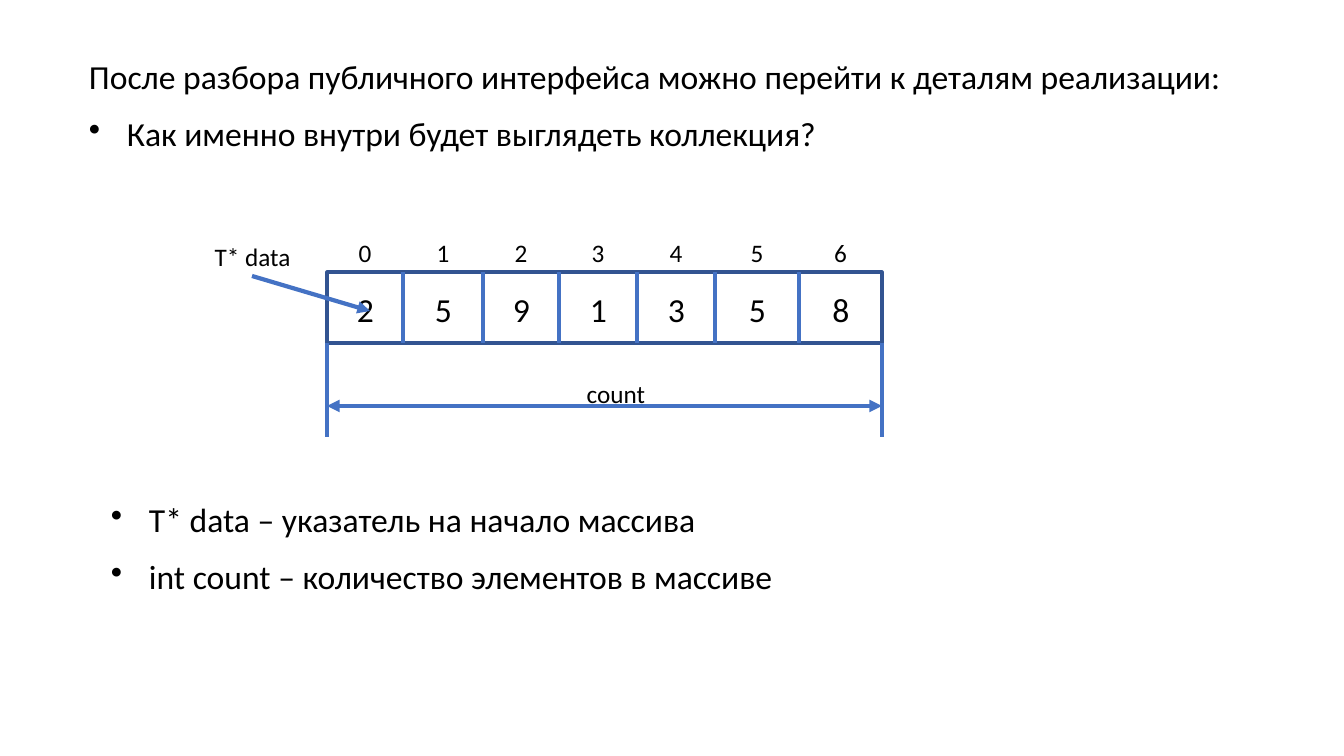
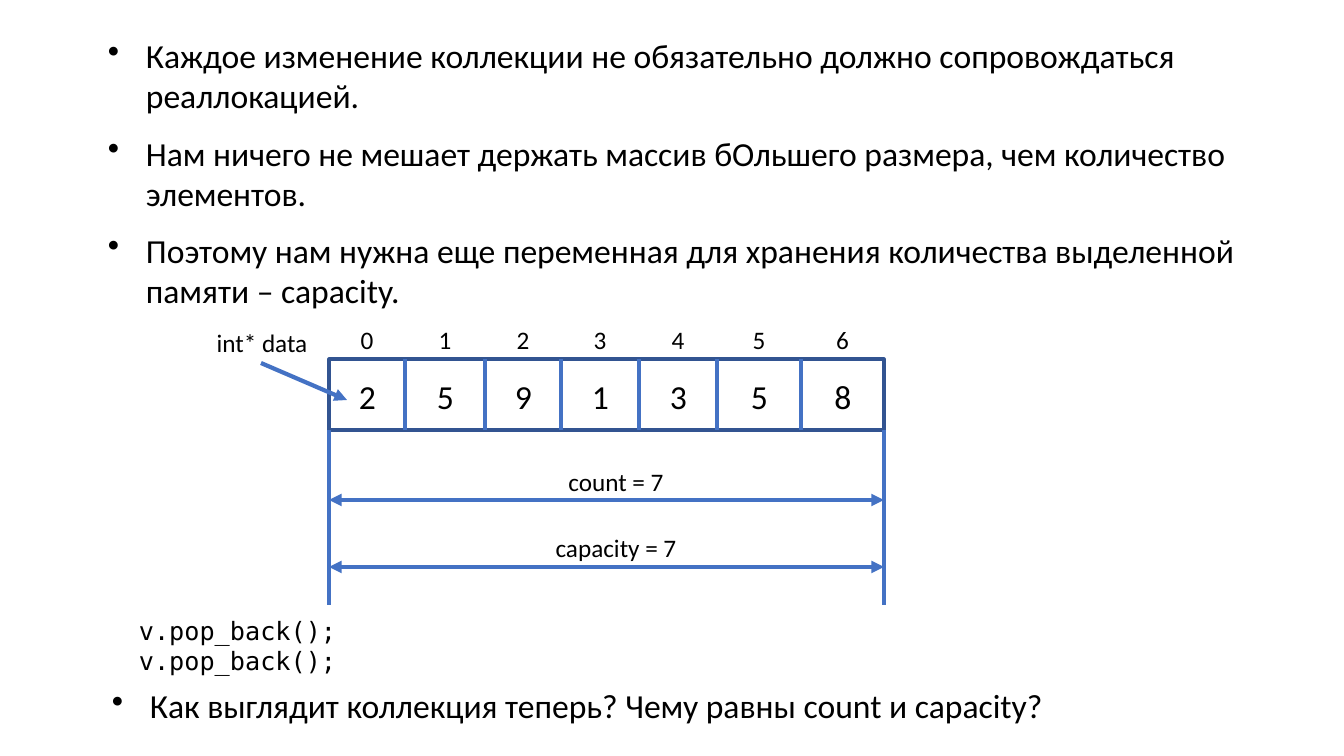
from itertools import accumulate

from lxml import etree
from pptx import Presentation
from pptx.dml.color import RGBColor
from pptx.enum.shapes import MSO_CONNECTOR, MSO_SHAPE
from pptx.enum.text import MSO_AUTO_SIZE, PP_ALIGN
from pptx.oxml.ns import qn
from pptx.util import Pt

STRAIGHT = MSO_CONNECTOR.STRAIGHT
RECTANGLE = MSO_SHAPE.RECTANGLE
GROW = MSO_AUTO_SIZE.SHAPE_TO_FIT_TEXT
LEFT, CENTER = PP_ALIGN.LEFT, PP_ALIGN.CENTER

SLIDE_WIDTH, SLIDE_HEIGHT = 1344, 756
EMU_PER_PIXEL = 12192000 / SLIDE_WIDTH

BLACK, WHITE, BLUE, DARK_BLUE = "000000", "FFFFFF", "4472C4", "325491"
FONT, CODE_FONT = "Calibri", "DejaVu Sans Mono"
BODY_SIZE, LABEL_SIZE = 24, 18
THIN, THICK = 2.25, 3
BODY_WIDTH, LABEL_HEIGHT, BODY_HEIGHT = 1186, 40, 50
BULLET_INDENT = 38

VALUES = ["2", "5", "9", "1", "3", "5", "8"]
CELL_WIDTHS = [76, 80, 76, 78, 78, 84, 83]
CELL_HEIGHT = 71
INDEX_WIDTH, VALUE_WIDTH = 33, 36
INDEX_RISE, VALUE_DROP = 40, 12
MEASURE_CENTER = 616

SLIDES = [
    {
        "bodies": [
            (79, 51, 109, [
                ("После разбора публичного интерфейса можно перейти к деталям реализации:", False),
                ("Как именно внутри будет выглядеть коллекция?", True),
            ]),
            (101, 494, 109, [
                ("T* data – указатель на начало массива", True),
                ("int count – количество элементов в массиве", True),
            ]),
        ],
        "array": (327, 272),
        "pointer": ("T* data", (204, 236, 97), (252, 276), (370, 311)),
        "measures": [("count", 80, 373, 406)],
        "guide_bottom": 437,
        "code": None,
    },
    {
        "bodies": [
            (98, 30, 288, [
                ("Каждое изменение коллекции не обязательно должно сопровождаться реаллокацией.", True),
                ("Нам ничего не мешает держать массив бОльшего размера, чем количество элементов.", True),
                ("Поэтому нам нужна еще переменная для хранения количества выделенной памяти – capacity.", True),
            ]),
            (102, 680, 50, [
                ("Как выглядит коллекция теперь? Чему равны count и capacity?", True),
            ]),
        ],
        "array": (329, 359),
        "pointer": ("int* data", (206, 322, 112), (261, 363), (347, 400)),
        "measures": [("count = 7", 117, 461, 500), ("capacity = 7", 142, 527, 567)],
        "guide_bottom": 605,
        "code": (129, 610, 756, 72, ["v.pop_back();", "v.pop_back();"]),
    },
]


def px(length):
    return round(length * EMU_PER_PIXEL)


def color(value):
    return RGBColor.from_string(value)


def add_text(page, left, top, width, height, lines, size,
             font=FONT, align=LEFT, wrap=True):
    box = page.shapes.add_textbox(px(left), px(top), px(width), px(height))
    frame = box.text_frame
    frame.word_wrap = wrap
    frame.auto_size = GROW
    for number, line in enumerate(lines):
        para = frame.paragraphs[0] if number == 0 else frame.add_paragraph()
        para.text = line
        para.alignment = align
        para.font.name = font
        para.font.size = Pt(size)
        para.font.color.rgb = color(BLACK)
    return frame.paragraphs


def add_label(page, text, left, top, width, height=LABEL_HEIGHT, size=LABEL_SIZE):
    add_text(page, left, top, width, height, [text], size, align=CENTER, wrap=False)


def add_body(page, left, top, height, items):
    paras = add_text(page, left, top, BODY_WIDTH, height,
                     [text for text, _ in items], BODY_SIZE)
    for para, (_, bulleted) in zip(paras, items):
        para.space_before = Pt(12)
        if bulleted:
            properties = para._p.get_or_add_pPr()
            properties.set("marL", str(px(BULLET_INDENT)))
            properties.set("indent", str(-px(BULLET_INDENT)))
            bullet = etree.Element(qn("a:buChar"), char="•")
            properties.find(qn("a:defRPr")).addprevious(bullet)


def add_line(page, start, end, width=THIN, ends=()):
    line = page.shapes.add_connector(STRAIGHT, *map(px, start + end))
    line.line.color.rgb = color(BLUE)
    line.line.width = Pt(width)
    properties = line._element.spPr
    outline = properties.find(qn("a:ln"))
    for end_name in ends:
        etree.SubElement(outline, qn("a:" + end_name), type="triangle")
    etree.SubElement(properties, qn("a:effectLst"))


def add_array(page, left, top):
    frame = page.shapes.add_shape(RECTANGLE, px(left), px(top),
                                  px(sum(CELL_WIDTHS)), px(CELL_HEIGHT))
    frame.shadow.inherit = False
    frame.fill.solid()
    frame.fill.fore_color.rgb = color(WHITE)
    frame.line.color.rgb = color(DARK_BLUE)
    frame.line.width = Pt(THIN)
    edges = list(accumulate(CELL_WIDTHS, initial=left))
    for edge in edges[1:-1]:
        add_line(page, (edge, top), (edge, top + CELL_HEIGHT))
    for index, (value, edge, width) in enumerate(zip(VALUES, edges, CELL_WIDTHS)):
        center = edge + width / 2
        add_label(page, str(index), center - INDEX_WIDTH / 2, top - INDEX_RISE, INDEX_WIDTH)
        add_label(page, value, center - VALUE_WIDTH / 2, top + VALUE_DROP,
                  VALUE_WIDTH, BODY_HEIGHT, BODY_SIZE)


def add_measures(page, left, top, bottom, measures):
    right = left + sum(CELL_WIDTHS)
    for edge in (left, right):
        add_line(page, (edge, top), (edge, bottom))
    for text, width, label_top, arrow_y in measures:
        add_label(page, text, MEASURE_CENTER - width / 2, label_top, width)
        add_line(page, (left, arrow_y), (right, arrow_y), THICK, ("headEnd", "tailEnd"))


deck = Presentation()
deck.slide_width, deck.slide_height = px(SLIDE_WIDTH), px(SLIDE_HEIGHT)

for content in SLIDES:
    page = deck.slides.add_slide(deck.slide_layouts[6])
    array_left, array_top = content["array"]
    add_array(page, array_left, array_top)
    pointer, place, start, end = content["pointer"]
    add_label(page, pointer, *place)
    add_line(page, start, end, THICK, ("tailEnd",))
    add_measures(page, array_left, array_top + CELL_HEIGHT,
                 content["guide_bottom"], content["measures"])
    for body in content["bodies"]:
        add_body(page, *body)
    if content["code"]:
        add_text(page, *content["code"], LABEL_SIZE, CODE_FONT)

deck.save("out.pptx")
